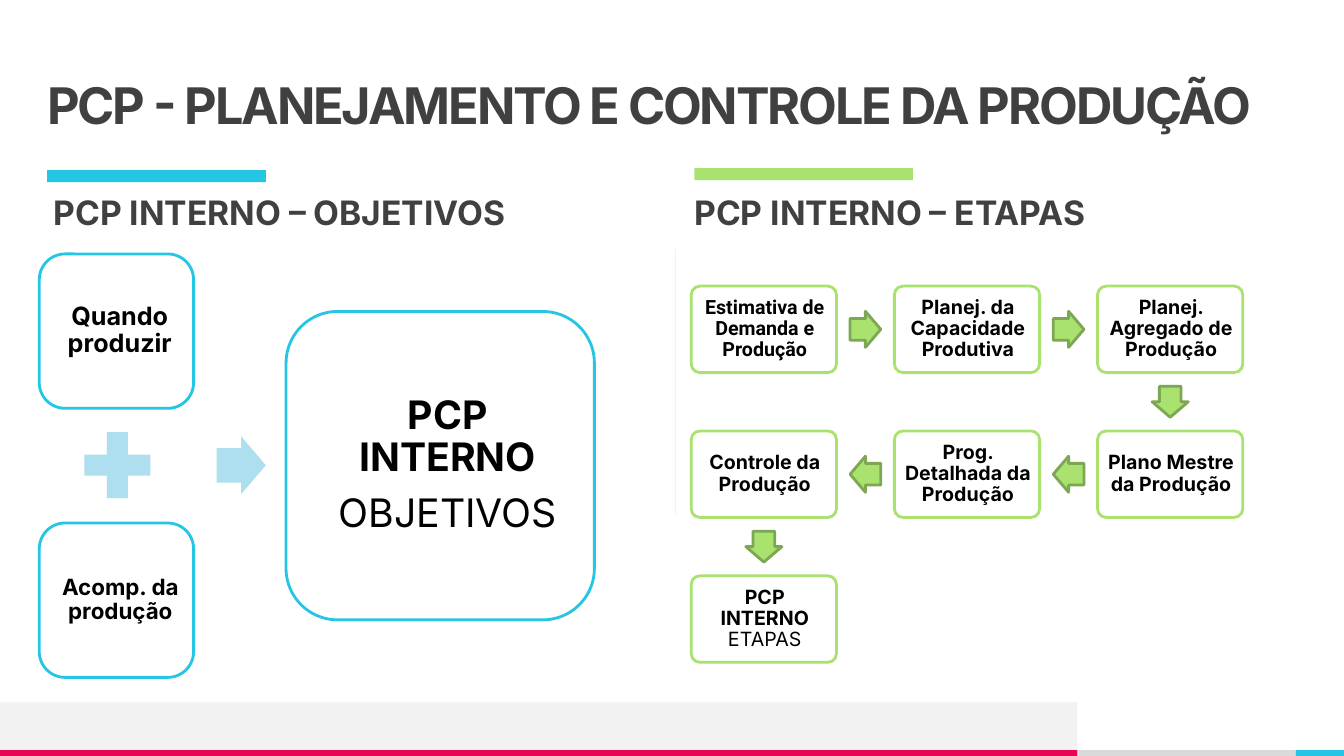
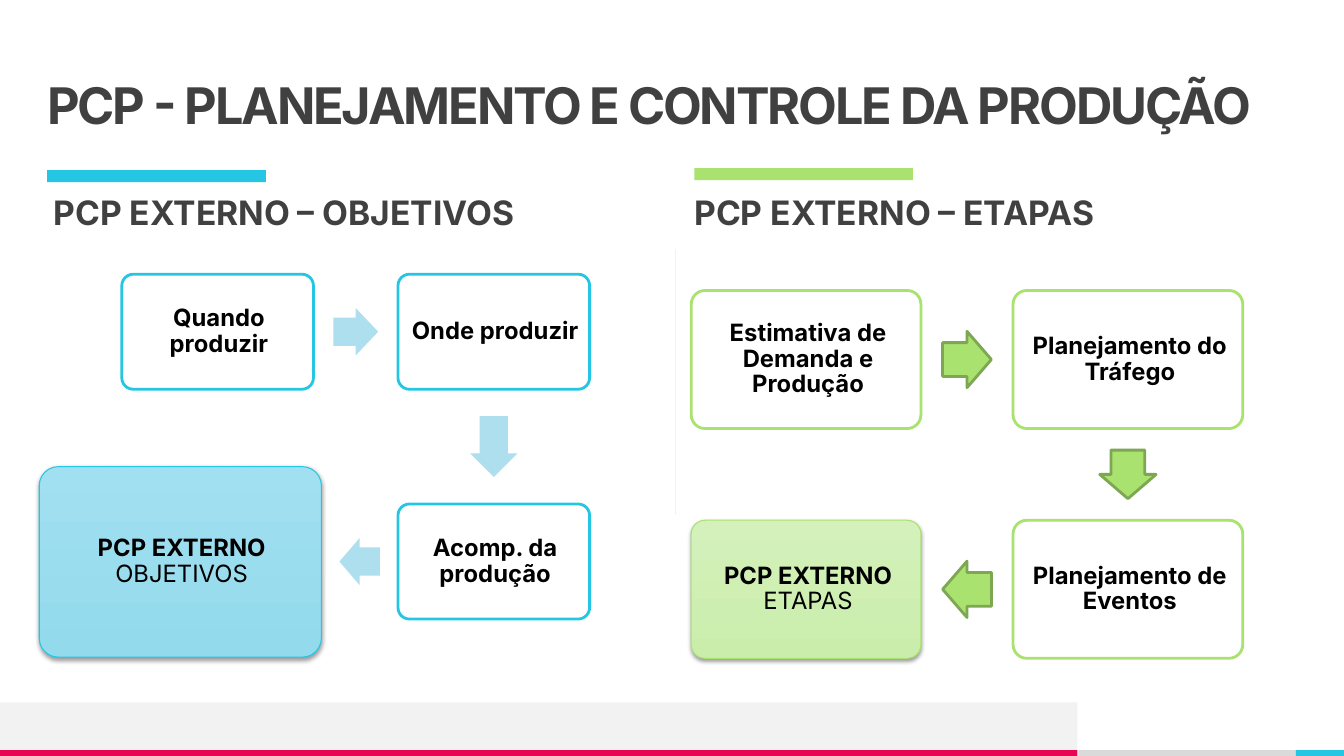
from pptx import Presentation
from pptx.dml.color import RGBColor as Rgb
from pptx.enum.shapes import MSO_CONNECTOR as Link, MSO_SHAPE as Kind
from pptx.enum.text import MSO_ANCHOR as Anchor, MSO_AUTO_SIZE as Fit, PP_ALIGN as Align
from pptx.oxml import parse_xml
from pptx.oxml.ns import nsdecls, qn
from pptx.util import Cm, Pt

HUES = {
    "white": "FFFFFF", "black": "000000", "dark": "404040", "pale": "F2F2F2",
    "grey": "DADADA", "pink": "E80554", "blue": "25C6E3", "sky": "ADDFEF",
    "green": "A9E26F", "moss": "7DA752", "ice": "A1E0F1", "pool": "93DAED",
    "mint": "D4F1BB", "lime": "CAEDAC",
}
RGB = {name: Rgb.from_string(code) for name, code in HUES.items()}
SHADE = (
    f'<a:outerShdw {nsdecls("a")} blurRad="40000" dist="20000" dir="5400000" rotWithShape="0">'
    '<a:srgbClr val="000000"><a:alpha val="38000"/></a:srgbClr></a:outerShdw>'
)


def block(slide, kind, x, y, w, h, fill, line=None, adjust=()):
    shape = slide.shapes.add_shape(kind, Cm(x), Cm(y), Cm(w), Cm(h))
    shape.shadow.inherit = False
    shape.fill.solid()
    shape.fill.fore_color.rgb = RGB[fill]
    if line:
        shape.line.color.rgb = RGB[line]
        shape.line.width = Pt(2)
    else:
        shape.line.fill.background()
    for i, value in enumerate(adjust):
        shape.adjustments[i] = value
    return shape


def write(shape, lines, size, ink="black", face="Inter", pad=(0, 0, 0),
          align=Align.CENTER, anchor=Anchor.MIDDLE, before=0, after=0):
    frame = shape.text_frame
    left, edge, right = pad
    look = {
        "word_wrap": True, "auto_size": Fit.NONE, "vertical_anchor": anchor,
        "margin_left": Cm(left), "margin_right": Cm(right),
        "margin_top": Cm(edge), "margin_bottom": Cm(edge),
    }
    for key, value in look.items():
        setattr(frame, key, value)
    style = {"alignment": align, "line_spacing": 0.9,
             "space_before": Pt(before), "space_after": Pt(after)}
    for i, parts in enumerate(lines):
        para = frame.add_paragraph() if i else frame.paragraphs[0]
        for key, value in style.items():
            setattr(para, key, value)
        for text, bold in zip(parts, (True, False)):
            if not text:
                continue
            run = para.add_run()
            run.text = text
            run.font.color.rgb = RGB[ink]
            for key, value in {"name": face, "size": Pt(size), "bold": bold}.items():
                setattr(run.font, key, value)


deck = Presentation()
deck.slide_width, deck.slide_height = Cm(33.87), Cm(19.05)
layout = deck.slide_layouts[5]
for holder in list(layout.placeholders):
    if holder.placeholder_format.idx:
        holder.element.getparent().remove(holder.element)
slides = [deck.slides.add_slide(layout) for _ in range(2)]
inner, outer = slides

bands = [
    block(inner, Kind.RECTANGLE, *spot)
    for spot in (
        (27.18, 18.9, 5.49, 0.15, "grey"),
        (0, 17.7, 27.15, 1.2, "pale"),
        (0, 18.9, 27.15, 0.15, "pink"),
        (32.66, 18.9, 1.21, 0.15, "blue"),
    )
]
for band in bands:
    layout.shapes.element.append(band.element)

for slide, scope in zip(slides, ("INTERNO", "EXTERNO")):
    title = slide.shapes.title
    place = {"left": 1.19, "top": 1.19, "width": 31.47, "height": 3.05}
    for key, value in place.items():
        setattr(title, key, Cm(value))
    write(title, [("PCP - PLANEJAMENTO E CONTROLE DA PRODUÇÃO",)], 36, "dark", align=Align.LEFT)
    for props in title.element.iter(qn("a:rPr")):
        props.set("spc", "-150")
    for topic, hue, x, y, left in (
        ("OBJETIVOS", "blue", 1.19, 4.29, 1.35),
        ("ETAPAS", "green", 17.5, 4.24, 17.5),
    ):
        block(slide, Kind.RECTANGLE, x, y, 5.51, 0.3, hue)
        head = slide.shapes.add_textbox(Cm(left), Cm(4.95), Cm(15.19), Cm(0.99))
        write(head, [(f"PCP {scope} – {topic}",)], 24, "dark",
              align=Align.LEFT, anchor=Anchor.TOP, before=10)
    rule = slide.shapes.add_connector(Link.STRAIGHT, Cm(17.02), Cm(6.27), Cm(17.02), Cm(12.98))
    rule.line.color.rgb = RGB["pale"]
    rule.line.width = Pt(0.75)
    rule.element.spPr.append(parse_xml(f'<a:effectLst {nsdecls("a")}/>'))

for x, y, side, lines, size, pad, after in (
    (0.99, 6.4, 3.89, [("Quando produzir",)], 18, (0.25, 0.25, 0.08), 6.3),
    (0.99, 13.18, 3.89, [("Acomp. da produção",)], 16, (0.25, 0.25, 0.05), 5.6),
    (7.21, 7.85, 7.77, [("PCP INTERNO",), ("", "OBJETIVOS")], 28, (0.48, 0.48, 0.1), 9.8),
):
    box = block(inner, Kind.ROUNDED_RECTANGLE, x, y, side, side, "white", "blue", (0.167,))
    write(box, lines, size, pad=pad, after=after)
block(inner, Kind.MATH_PLUS, 1.83, 10.59, 2.26, 2.26, "sky", adjust=(0.235,))
block(inner, Kind.RIGHT_ARROW, 5.46, 11, 1.24, 1.45, "sky", adjust=(0.6, 0.5))

cols = [17.42 + 5.12 * i for i in range(3)]
rows = [7.21 + 3.65 * i for i in range(3)]
flows = [
    {
        "slide": inner, "hues": ("green", "green", "moss"), "fade": None,
        "size": 14, "pad": (0.2, 0.2, 0.15), "thick": 0.91,
        "steps": [
            (cols[0], rows[0], 3.66, 2.18, "Estimativa de Demanda e Produção", "", "Roboto"),
            (cols[1], rows[0], 3.66, 2.18, "Planej. da Capacidade Produtiva", "", "Inter"),
            (cols[2], rows[0], 3.66, 2.18, "Planej. Agregado de Produção", "", "Inter"),
            (cols[2], rows[1], 3.66, 2.18, "Plano Mestre da Produção", "", "Inter"),
            (cols[1], rows[1], 3.66, 2.18, "Prog. Detalhada da Produção", "", "Inter"),
            (cols[0], rows[1], 3.66, 2.18, "Controle da Produção", "", "Inter"),
            (cols[0], rows[2], 3.66, 2.18, "PCP INTERNO ", "ETAPAS", "Inter"),
        ],
    },
    {
        "slide": outer, "hues": ("blue", "sky", None), "fade": ("ice", "pool"),
        "size": 17, "pad": (0.25, 0.25, 0.18), "thick": 1.19,
        "steps": [
            (3.07, 6.91, 4.83, 2.9, "Quando produzir", "", "Inter"),
            (10.03, 6.91, 4.83, 2.9, "Onde produzir", "", "Inter"),
            (10.03, 12.7, 4.83, 2.9, "Acomp. da produção", "", "Inter"),
            (0.99, 11.76, 7.11, 4.8, "PCP EXTERNO ", "OBJETIVOS", "Inter"),
        ],
    },
    {
        "slide": outer, "hues": ("green", "green", "moss"), "fade": ("mint", "lime"),
        "size": 17, "pad": (0.28, 0.28, 0.18), "thick": 1.42,
        "steps": [
            (17.42, 7.32, 5.79, 3.48, "Estimativa de Demanda e Produção", "", "Inter"),
            (25.53, 7.32, 5.79, 3.48, "Planejamento do Tráfego", "", "Inter"),
            (25.53, 13.11, 5.79, 3.48, "Planejamento de Eventos", "", "Inter"),
            (17.42, 13.11, 5.79, 3.48, "PCP EXTERNO ", "ETAPAS", "Inter"),
        ],
    },
]

for flow in flows:
    slide, steps, thick = flow["slide"], flow["steps"], flow["thick"]
    edge, fill, line = flow["hues"]
    for x, y, w, h, bold, plain, face in steps:
        box = block(slide, Kind.ROUNDED_RECTANGLE, x, y, w, h, "white", edge, (0.1,))
        write(box, [(bold, plain)], flow["size"], face=face, pad=flow["pad"], after=6)
    if flow["fade"]:
        box.fill.gradient()
        box.fill.gradient_angle = 270
        for stop, hue in zip(box.fill.gradient_stops, flow["fade"]):
            stop.color.rgb = RGB[hue]
        box.line.width = Pt(0.75)
        box.element.spPr.find(qn("a:effectLst")).append(parse_xml(SHADE))
    for (x, y, w, h, *_), (nx, ny, nw, nh, *_) in zip(steps, steps[1:]):
        if nx == x:
            mx, my, gap, turn = x + w / 2, (y + h + ny) / 2, ny - y - h, 90
        elif nx > x:
            mx, my, gap, turn = (x + w + nx) / 2, y + h / 2, nx - x - w, 0
        else:
            mx, my, gap, turn = (nx + nw + x) / 2, y + h / 2, x - nx - nw, 180
        span = 0.53 * gap
        arrow = block(slide, Kind.RIGHT_ARROW, mx - span / 2, my - thick / 2,
                      span, thick, fill, line, (0.6, 0.5))
        arrow.rotation = turn

deck.save("out.pptx")
